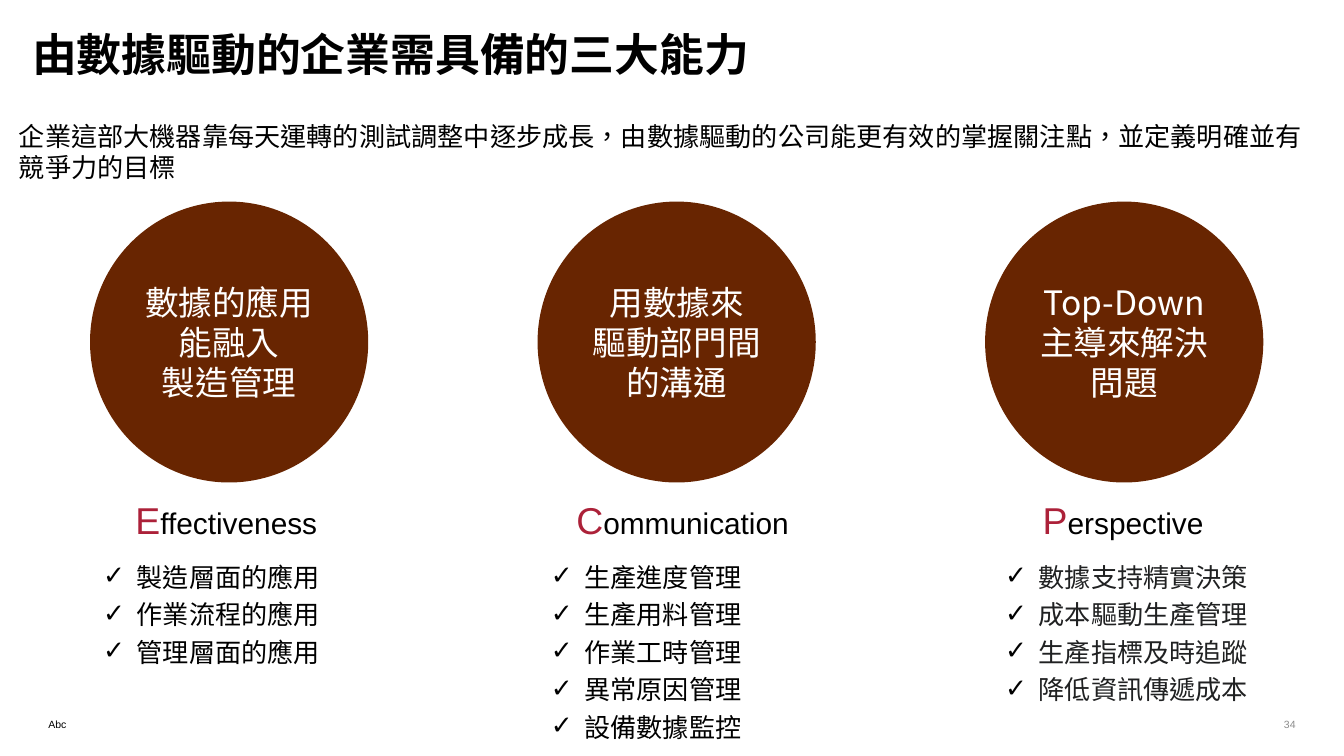
import pptx
import pptx.dml.color
import pptx.enum.shapes
import pptx.enum.text
import pptx.oxml.ns
import pptx.util
from lxml import etree

PX = 9144  # EMU in one px, 100 px to the inch
WIDE = 1000
SANS, HAN, ROUND = "Arial", "Noto Sans CJK SC", "Noto Sans CJK TC"
BLACK, WHITE, GREY, INK = "000000", "FFFFFF", "8C8C8C", "202122"
BROWN, RED = "682501", "AC2139"
ALIGN = pptx.enum.text.PP_ALIGN
ANCHOR = pptx.enum.text.MSO_ANCHOR

TITLE = "由數據驅動的企業需具備的三大能力"
LEAD = ("企業這部大機器靠每天運轉的測試調整中逐步成長，"
        "由數據驅動的公司能更有效的掌握關注點，並定義明確並有競爭力的目標")

# circle text, heading, heading box, list items, list box, list colour
PILLARS = [
    ("數據的應用能融入\n製造管理", "Effectiveness", (24, 157),
     ["製造層面的應用", "作業流程的應用", "管理層面的應用"], (0, 196), BLACK),
    ("用數據來\n驅動部門間的溝通", "Communication", (19, 180),
     ["生產進度管理", "生產用料管理", "作業工時管理", "異常原因管理",
      "設備數據監控"], (0, 202), BLACK),
    ("Top-Down\n主導來解決\n問題", "Perspective", (33, 141),
     ["數據支持精實決策", "成本驅動生產管理", "生產指標及時追蹤",
      "降低資訊傳遞成本"], (5, 249), INK),
]


def color(code):
    return pptx.dml.color.RGBColor.from_string(code)


def child(node, tag, **attrs):
    return etree.SubElement(node, pptx.oxml.ns.qn(tag), **attrs)


def style(run, size, face, code, bold=False):
    font = run.font
    font.size, font.name, font.bold = pptx.util.Pt(size), face, bold
    font.color.rgb = color(code)
    props = run._r.get_or_add_rPr()
    props.set("lang", "zh-TW")
    child(props, "a:ea", typeface=HAN if face == SANS else face)


def fill(frame, text, size, face, code, align=ALIGN.LEFT, bold=False):
    """Put the text in the frame, one paragraph for each line."""
    frame.text = text
    for para in frame.paragraphs:
        para.alignment = align
        for run in para.runs:
            style(run, size, face, code, bold)


def box(slide, x, y, w, h, wrap=True):
    frame = slide.shapes.add_textbox(x * PX, y * PX, w * PX, h * PX).text_frame
    frame.word_wrap = wrap
    if not wrap:
        frame.auto_size = pptx.enum.text.MSO_AUTO_SIZE.SHAPE_TO_FIT_TEXT
    return frame


def flat(frame):
    """Anchor the text at the bottom, without margins."""
    frame.vertical_anchor = ANCHOR.BOTTOM
    frame.margin_left = frame.margin_right = 0
    frame.margin_top = frame.margin_bottom = 0
    return frame


def header(slide, x, y, w):
    fill(box(slide, x, y, 559, 50, False), TITLE, 24, HAN, BLACK, bold=True)
    fill(flat(box(slide, x, y + 66, w, 55)), LEAD, 14, HAN, BLACK)


def footer(slide, x, y, w):
    fill(flat(box(slide, x, y, 449, 11)), "Abc", 5.6, SANS, BLACK)
    fill(flat(box(slide, x + w - 290, y, 290, 11)), "34", 5.6, SANS, GREY,
         ALIGN.RIGHT)


def circle(slide, x, y, w, h, text):
    kind = pptx.enum.shapes.MSO_SHAPE.OVAL
    disc = slide.shapes.add_shape(kind, x * PX, y * PX, w * PX, h * PX)
    disc.shadow.inherit = False
    disc.fill.solid()
    disc.fill.fore_color.rgb = color(BROWN)
    disc.line.fill.background()
    disc.text_frame.vertical_anchor = ANCHOR.MIDDLE
    fill(disc.text_frame, text, 18, ROUND, WHITE, ALIGN.CENTER)


def heading(slide, x, y, w, word):
    """Write the word with a large red initial."""
    para = box(slide, x, y, w, 44, False).paragraphs[0]
    for text, size, code in ((word[0], 20, RED), (word[1:], 16, BLACK)):
        run = para.add_run()
        run.text = text
        style(run, size, SANS, code)


def checks(slide, x, y, w, items, code):
    frame = box(slide, x, y, w, 140)
    frame.text = "\n".join(items)
    for i, para in enumerate(frame.paragraphs):
        props = para._p.get_or_add_pPr()
        props.set("marL", str(25 * PX))
        props.set("indent", str(-25 * PX))
        child(child(props, "a:buClr"), "a:srgbClr", val=BLACK)
        child(props, "a:buFont", typeface=SANS)
        child(props, "a:buChar", char="✓")
        para.line_spacing = 0.6
        para.space_before = pptx.util.Pt(10 if i else 0)
        style(para.runs[0], 14, HAN, code)


def pillar(slide, x, y, part):
    text, word, (left, wide), items, (edge, width), code = part
    circle(slide, x, y, 207, 209, text)
    heading(slide, x + left, y + 215, wide, word)
    checks(slide, x + edge, y + 271, width, items, code)


def main():
    deck = pptx.Presentation()
    deck.slide_width = WIDE * PX
    deck.slide_height = WIDE * PX * 9 // 16
    slide = deck.slides.add_slide(deck.slide_layouts[6])
    header(slide, 14, 15, 972)
    for i, part in enumerate(PILLARS):
        pillar(slide, 67 + 333 * i, 150, part)
    footer(slide, 36, 533, 928)
    deck.save("out.pptx")


if __name__ == "__main__":
    main()
